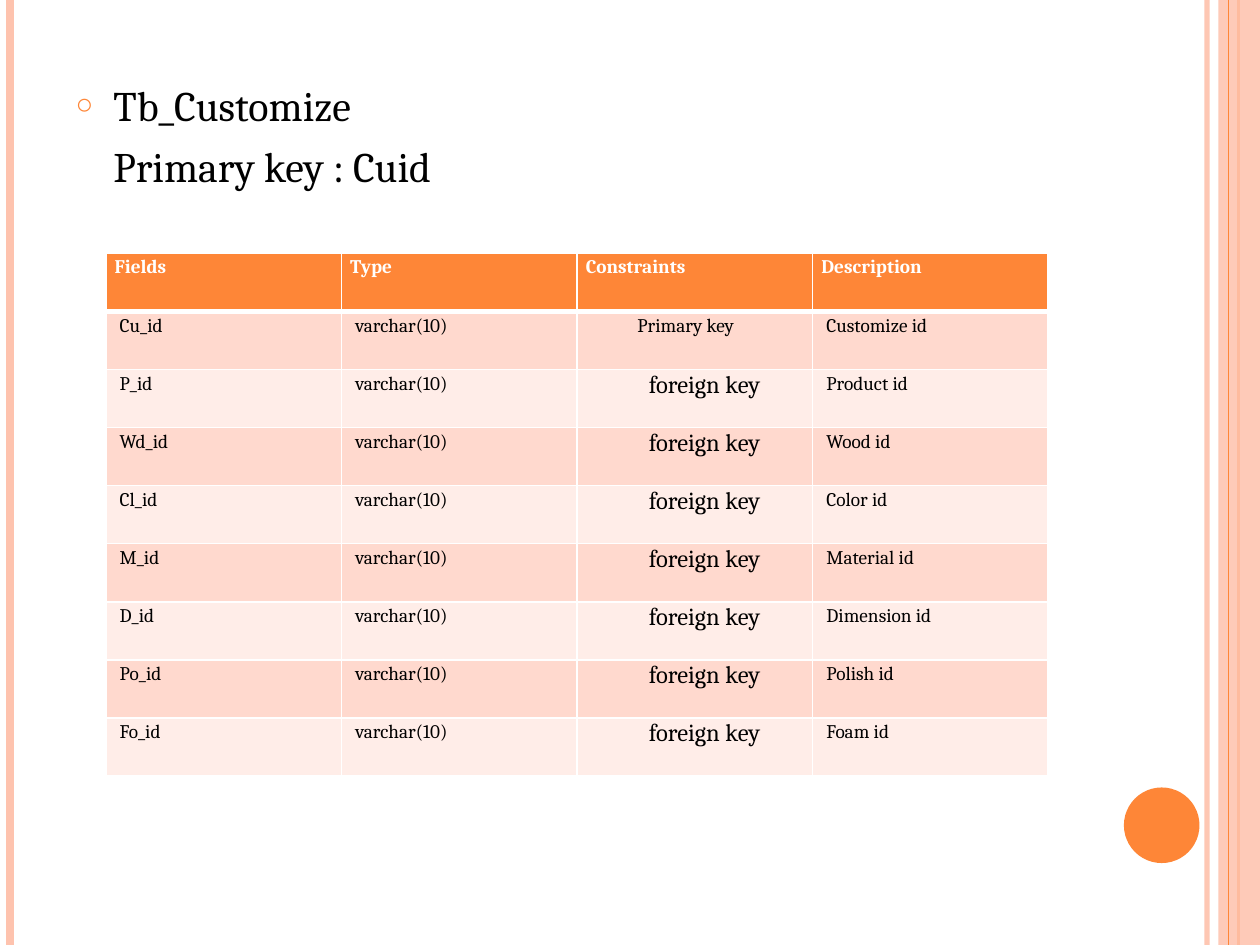
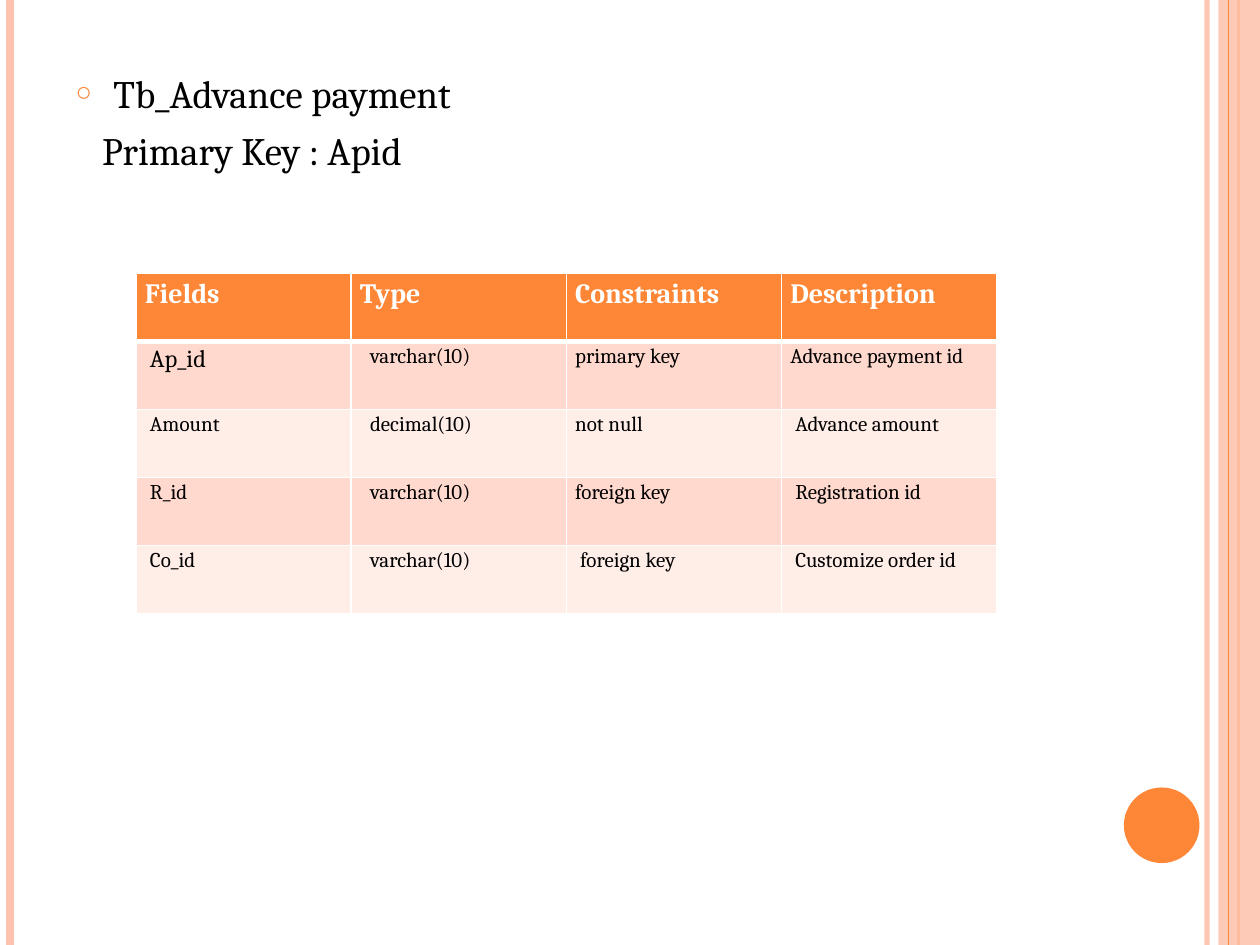
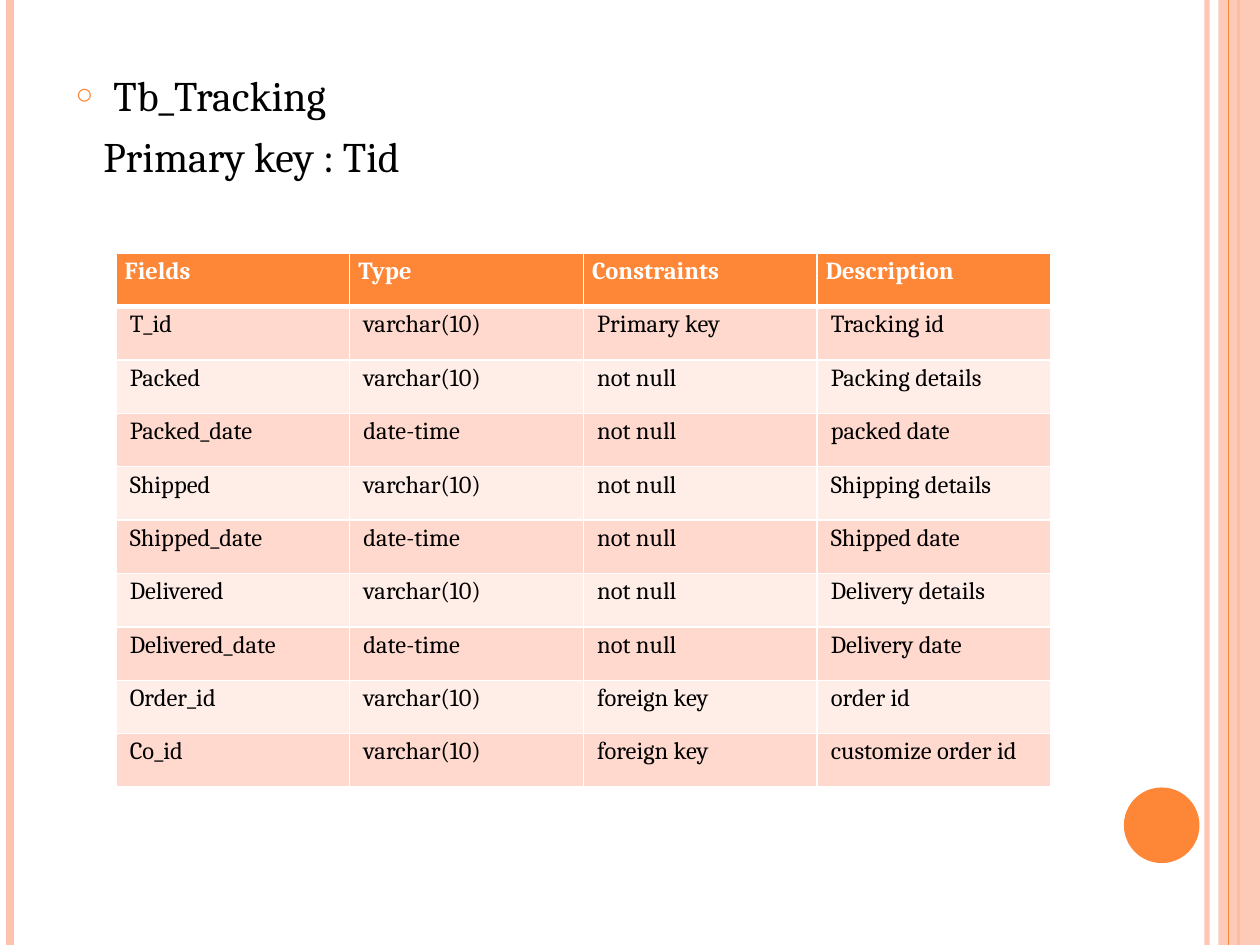
"""Builds three slides that describe database tables."""
from pptx import Presentation, util as u
from pptx.dml.color import RGBColor
from pptx.enum import shapes, text
from pptx.oxml import xmlchemy as x

COLORS = {"accent": "FE8637", "band": "FEC3AE", "odd": "FFD9CE", "even": "FFEDE8",
          "white": "FFFFFF", "black": "000000"}
FONT = "Cambria"
WIDTH, HEIGHT = 10, 7.5
BACK_RULES = [(9.58, "band", 3, 93), (0.08, "band", 4.5, 100), (9.83, "accent", 1.5, 100)]
FRONT_RULES = [(9.75, "accent", 0.75, 100)]
HEADER = ("Fields", "Type", "Constraints", "Description")
FOREIGN_KEY = {"size": 14, "indent": 0.5, "spacing": 1.07}

SLIDES = [
    {"heading": ("Tb_Customize", "Primary key : Cuid"), "heading_size": 24,
     "heading_box": (0.5, 0.58, 8.17, 1.58), "key_indent": 0.3,
     "table_box": (0.84, 2.01, 7.48, 4.15), "header_size": 11, "size": 11,
     "indents": (0.04, 0.04, 0.04, 0.04),
     "rows": [
         ("Cu_id", "varchar(10)", "Primary key", "Customize id"),
         ("P_id", "varchar(10)", "foreign key", "Product id"),
         ("Wd_id", "varchar(10)", "foreign key", "Wood id"),
         ("Cl_id", "varchar(10)", "foreign key", "Color id"),
         ("M_id", "varchar(10)", "foreign key", "Material id"),
         ("D_id", "varchar(10)", "foreign key", "Dimension id"),
         ("Po_id", "varchar(10)", "foreign key", "Polish id"),
         ("Fo_id", "varchar(10)", "foreign key", "Foam id")],
     "special": {(1, 2): {"indent": 0.41}, **{(row, 2): FOREIGN_KEY for row in range(2, 9)}}},
    {"heading": ("Tb_Advance payment", "Primary Key : Apid"), "heading_size": 22.2,
     "heading_box": (0.5, 0.5, 8.17, 1.25), "key_indent": 0.21,
     "table_box": (1.08, 2.17, 6.83, 2.7), "header_size": 16, "size": 12,
     "indents": (0.04, 0.08, 0, 0.04),
     "rows": [
         ("Ap_id", "varchar(10)", "primary key", "Advance payment id"),
         ("Amount", "decimal(10)", "not null", "Advance amount"),
         ("R_id", "varchar(10)", "foreign key", "Registration id"),
         ("Co_id", "varchar(10)", "foreign key", "Customize order id")],
     "special": {(1, 0): {"size": 14}, (1, 3): {"indent": 0}, (4, 2): {"indent": 0.04}}},
    {"heading": ("Tb_Tracking", "Primary key : Tid"), "heading_size": 24,
     "heading_box": (0.5, 0.5, 8.17, 1.08), "key_indent": 0.22,
     "table_box": (0.92, 2.01, 7.42, 4.24), "header_size": 14, "size": 14,
     "indents": (0.04, 0.04, 0.04, 0.04),
     "rows": [
         ("T_id", "varchar(10)", "Primary key", "Tracking id"),
         ("Packed", "varchar(10)", "not null", "Packing details"),
         ("Packed_date", "date-time", "not null", "packed date"),
         ("Shipped", "varchar(10)", "not null", "Shipping details"),
         ("Shipped_date", "date-time", "not null", "Shipped date"),
         ("Delivered", "varchar(10)", "not null", "Delivery details"),
         ("Delivered_date", "date-time", "not null", "Delivery date"),
         ("Order_id", "varchar(10)", "foreign key", "order id"),
         ("Co_id", "varchar(10)", "foreign key", "customize order id")],
     "special": {}},
]


def rgb(name):
    return RGBColor.from_string(COLORS[name])


def add_xml(parent, tag, **attrs):
    el = x.OxmlElement(tag)
    for name, value in attrs.items():
        el.set(name, str(value))
    parent.append(el)
    return el


def set_alpha(color_parent, percent):
    for color in color_parent.iter("{*}srgbClr"):
        add_xml(color, "a:alpha", val=percent * 1000)


def add_rules(s, rules):
    for left, color, width, alpha in rules:
        at = u.Inches(left)
        rule = s.shapes.add_connector(shapes.MSO_CONNECTOR.STRAIGHT, at, 0, at, u.Inches(HEIGHT))
        rule.line.color.rgb, rule.line.width = rgb(color), u.Pt(width)
        if alpha < 100:
            set_alpha(rule.line._get_or_add_ln(), alpha)
        add_xml(rule._element.spPr, "a:effectLst")


def add_block(s, kind, box, color):
    sp = s.shapes.add_shape(kind, *map(u.Inches, box))
    sp.shadow.inherit = False
    sp.fill.solid()
    sp.fill.fore_color.rgb = rgb(color)
    sp.line.fill.background()
    return sp


def add_decoration(s):
    add_rules(s, BACK_RULES)
    band = add_block(s, shapes.MSO_SHAPE.RECTANGLE, (9.67, 0, 0.33, HEIGHT), "band")
    set_alpha(band._element.spPr, 87)
    add_rules(s, FRONT_RULES)
    add_block(s, shapes.MSO_SHAPE.OVAL, (8.92, 6.25, 0.6, 0.6), "accent")


def write(p, words, size, color="black", bold=False, indent=0, hanging=0):
    r = p.add_run()
    r.text = words
    for name, value in {"name": FONT, "size": u.Pt(size), "bold": bold}.items():
        setattr(r.font, name, value)
    r.font.color.rgb = rgb(color)
    pPr = p._p.get_or_add_pPr()
    pPr.set("marL", str(u.Inches(indent)))
    pPr.set("indent", str(-u.Inches(hanging)))
    return pPr


def add_heading(s, data):
    sp = s.placeholders[1]
    for name, value in zip(("left", "top", "width", "height"), data["heading_box"]):
        setattr(sp, name, u.Inches(value))
    tf = sp.text_frame
    tf.word_wrap, tf.auto_size = True, text.MSO_AUTO_SIZE.NONE
    tf.vertical_anchor = text.MSO_ANCHOR.TOP
    name, key = data["heading"]
    first, second = tf.paragraphs[0], tf.add_paragraph()
    first.space_before = second.space_before = u.Pt(6)
    pPr = write(first, name, data["heading_size"], indent=0.3, hanging=0.3)
    add_xml(add_xml(pPr, "a:buClr"), "a:srgbClr", val=COLORS["accent"])
    add_xml(pPr, "a:buSzPct", val=70000)
    add_xml(pPr, "a:buChar", char="○")
    pPr = write(second, key, data["heading_size"], indent=data["key_indent"])
    add_xml(pPr, "a:buNone")


def style_cell(cell, fill, top, bottom):
    tcPr = cell._tc.get_or_add_tcPr()
    for side, width in (("L", 1), ("R", 1), ("T", top), ("B", bottom)):
        ln = add_xml(tcPr, f"a:ln{side}", w=u.Pt(width))
        add_xml(add_xml(ln, "a:solidFill"), "a:srgbClr", val=COLORS["white"])
    cell.fill.solid()
    cell.fill.fore_color.rgb = rgb(fill)
    margins = {"margin_left": 0.07, "margin_right": 0.07, "margin_top": 0, "margin_bottom": 0}
    for name, value in margins.items():
        setattr(cell, name, u.Inches(value))


def add_field_table(s, data):
    rows = [HEADER] + data["rows"]
    left, top, width, height = data["table_box"]
    table = s.shapes.add_table(len(rows), len(HEADER), *map(u.Inches, data["table_box"])).table
    for column in table.columns:
        column.width = u.Inches(width / len(HEADER))
    for i, row in enumerate(rows):
        table.rows[i].height = u.Inches(height / len(rows))
        for j, words in enumerate(row):
            cell = table.cell(i, j)
            if i == 0:
                look = {"size": data["header_size"], "color": "white", "bold": True}
                style_cell(cell, "accent", 1, 3)
            else:
                look = {"size": data["size"], "indent": data["indents"][j]}
                style_cell(cell, "odd" if i % 2 else "even", 3 if i == 1 else 1, 1)
            look.update(data["special"].get((i, j), {}))
            p = cell.text_frame.paragraphs[0]
            p.line_spacing = look.pop("spacing", 1.15)
            write(p, words, **look)


def main():
    prs = Presentation()
    prs.slide_width, prs.slide_height = u.Inches(WIDTH), u.Inches(HEIGHT)
    for data in SLIDES:
        s = prs.slides.add_slide(prs.slide_layouts[1])
        title = s.shapes.title._element
        title.getparent().remove(title)
        add_decoration(s)
        add_heading(s, data)
        add_field_table(s, data)
    prs.save("out.pptx")


if __name__ == "__main__":
    main()
